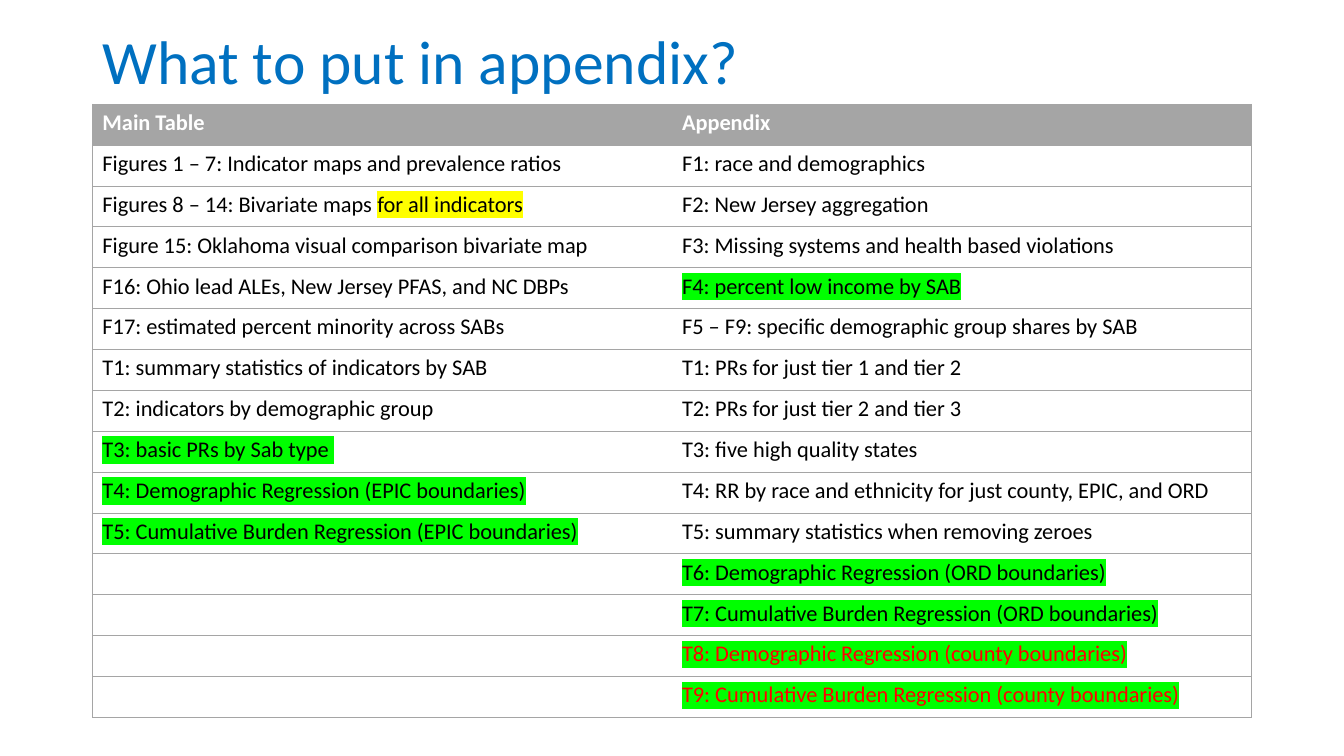
"""Build the slide that sorts figures and tables into main text and appendix."""
from lxml.etree import SubElement
from pptx import Presentation
from pptx.dml.color import RGBColor
from pptx.enum.text import MSO_ANCHOR, PP_ALIGN
from pptx.oxml import parse_xml
from pptx.oxml.ns import nsdecls, qn
from pptx.util import Pt

BLUE = RGBColor(0x00, 0x70, 0xC0)
GRAY = RGBColor(0xA5, 0xA5, 0xA5)
WHITE = RGBColor(0xFF, 0xFF, 0xFF)
BLACK = RGBColor(0x00, 0x00, 0x00)
RED = RGBColor(0xFF, 0x00, 0x00)
YELLOW = RGBColor(0xFF, 0xFF, 0x00)
GREEN = RGBColor(0x00, 0xFF, 0x00)
FONT = "Calibri"

MAIN = [
    [("Main Table", None)],
    [("Figures 1 – 7: Indicator maps and prevalence ratios", None)],
    [("Figures 8 – 14: Bivariate maps ", None), ("for all indicators", YELLOW)],
    [("Figure 15: Oklahoma visual comparison bivariate map", None)],
    [("F16: Ohio lead ALEs, New Jersey PFAS, and NC DBPs", None)],
    [("F17: estimated percent minority across SABs", None)],
    [("T1: summary statistics of indicators by SAB", None)],
    [("T2: indicators by demographic group", None)],
    [("T3: basic PRs by Sab type ", GREEN)],
    [("T4: Demographic Regression (EPIC boundaries)", GREEN)],
    [("T5: Cumulative Burden Regression (EPIC boundaries)", GREEN)],
    [], [], [], [],
]
EXTRA = [
    [("Appendix", None)],
    [("F1: race and demographics", None)],
    [("F2: New Jersey aggregation", None)],
    [("F3: Missing systems and health based violations", None)],
    [("F4: percent low income by SAB", GREEN)],
    [("F5 – F9: specific demographic group shares by SAB", None)],
    [("T1: PRs for just tier 1 and tier 2", None)],
    [("T2: PRs for just tier 2 and tier 3", None)],
    [("T3: five high quality states", None)],
    [("T4: RR by race and ethnicity for just county, EPIC, and ORD", None)],
    [("T5: summary statistics when removing zeroes", None)],
    [("T6: Demographic Regression (ORD boundaries)", GREEN)],
    [("T7: Cumulative Burden Regression (ORD boundaries)", GREEN)],
    [("T8: Demographic Regression (county boundaries)", GREEN)],
    [("T9: Cumulative Burden Regression (county boundaries)", GREEN)],
]


def mark(run, color):
    """Highlight a run."""
    light = SubElement(run.font._element, qn("a:highlight"))
    SubElement(light, qn("a:srgbClr")).set("val", str(color))


def edge(cell, sides):
    """Draw the named sides of a cell in gray and clear the others."""
    props = cell._tc.get_or_add_tcPr()
    for i, side in enumerate("LRTB"):
        fill = "<a:noFill/>"
        if side in sides:
            fill = f'<a:solidFill><a:srgbClr val="{GRAY}"/></a:solidFill>'
        props.insert(i, parse_xml(
            f'<a:ln{side} {nsdecls("a")} w="{Pt(0.5)}">{fill}</a:ln{side}>'))


deck = Presentation()
deck.slide_width, deck.slide_height = Pt(960), Pt(540)
slide = deck.slides.add_slide(deck.slide_layouts[5])

title = slide.shapes.title
title.left, title.top, title.width, title.height = Pt(66), Pt(-6), Pt(828), Pt(104.4)
title.text_frame.text = "What to put in appendix?"
title.text_frame.vertical_anchor = MSO_ANCHOR.MIDDLE
head = title.text_frame.paragraphs[0]
head.alignment = PP_ALIGN.LEFT
head.line_spacing = 0.9
head.font.name, head.font.size = FONT, Pt(44)
head.font.color.rgb = BLUE

table = slide.shapes.add_table(
    len(MAIN), 2, Pt(66), Pt(74.4), Pt(828), Pt(29.2 * len(MAIN))).table
table.horz_banding = False

for r, pair in enumerate(zip(MAIN, EXTRA)):
    table.rows[r].height = Pt(29.2)
    for c, parts in enumerate(pair):
        cell = table.cell(r, c)
        cell.fill.solid()
        cell.fill.fore_color.rgb = WHITE if r else GRAY
        edge(cell, "TB" + "LR"[c])
        para = cell.text_frame.paragraphs[0]
        para.font.name, para.font.size = FONT, Pt(16)
        para.font.bold = r == 0
        para.font.color.rgb = BLACK if r else WHITE
        for text, color in parts:
            run = para.add_run()
            run.text = text
            if text.startswith(("T8", "T9")):
                run.font.color.rgb = RED
            if color:
                mark(run, color)

deck.save("out.pptx")
